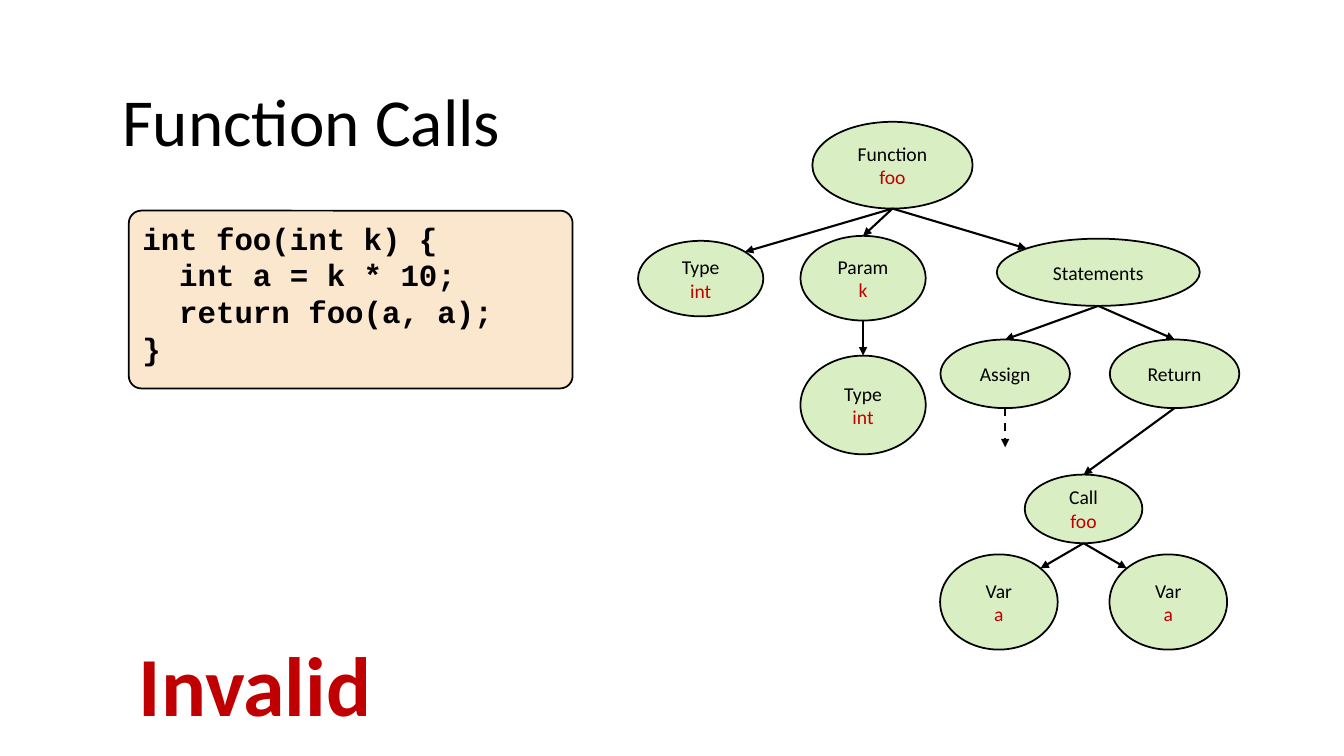
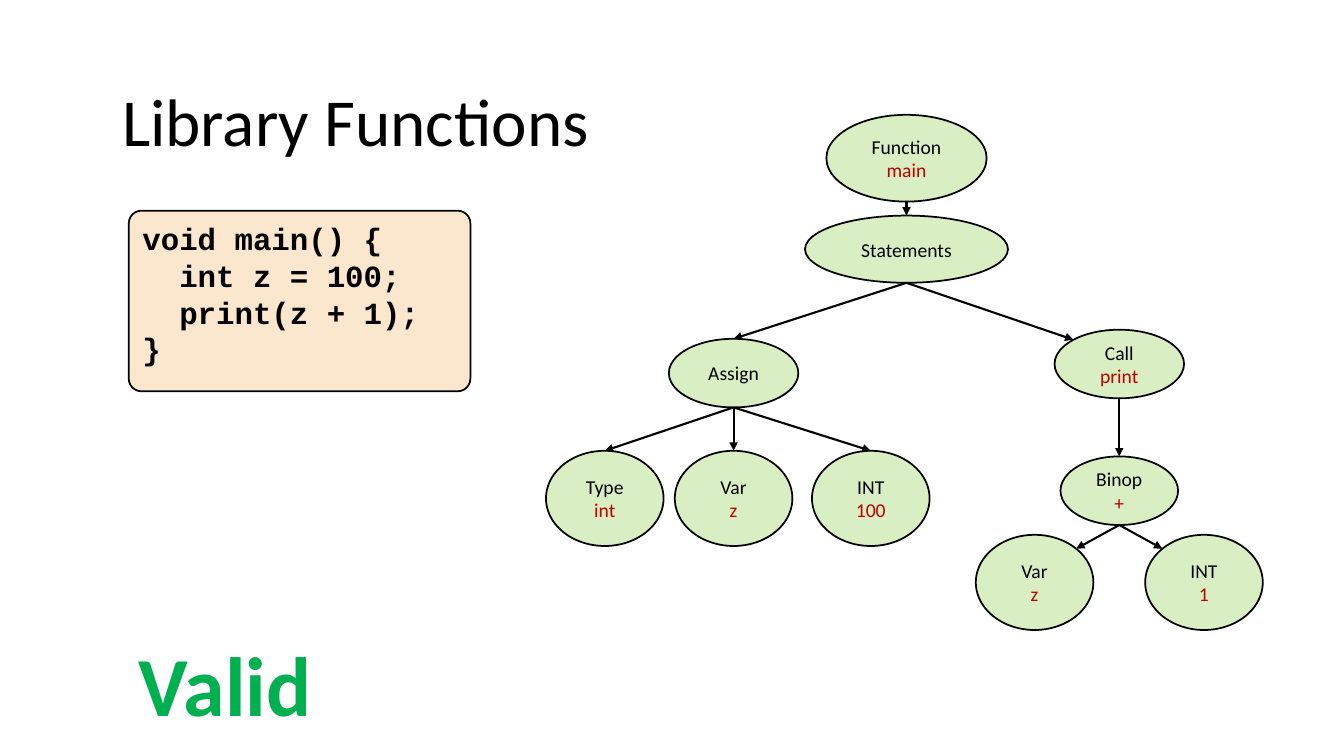
"""Build two slides that pair a short program with its syntax tree."""
from pptx import Presentation
from pptx.dml.color import RGBColor
from pptx.enum import dml, shapes, text
from pptx.oxml import xmlchemy as xml
from pptx.util import Pt

BLACK = RGBColor(0x00, 0x00, 0x00)
RED = RGBColor(0xC0, 0x00, 0x00)
GREEN = RGBColor(0x00, 0xB0, 0x50)
LEAF = RGBColor(0x92, 0xD0, 0x50)
CREAM = RGBColor(0xFB, 0xE6, 0xCE)

ROOT, LIST = (114.5, 62), (145, 48)
STEP, CALL, VAR = (92.5, 49), (84, 49), (84, 68)
TYPE, PARAM, INNER = (89.5, 54), (89.5, 60.5), (89.5, 70.5)
SIDES = {"left": 0.146, "top": 0.5, "right": 0.854}

# Node: key, label, value, size, centre x, top y, parent, side where the arrow lands
SLIDES = [
    {
        "title": "Function Calls",
        "code": ["int foo(int k) {", "  int a = k * 10;",
                 "  return foo(a, a);", "}"],
        "box": (317, 127),
        "mark": ("Invalid", RED),
        "stub": "assign",
        "nodes": [
            ("func", "Function", "foo", ROOT, 637.5, 87, None, None),
            ("type", "Type", "int", TYPE, 500.5, 172, "func", "right"),
            ("param", "Param", "k", PARAM, 616.5, 168.5, "func", "top"),
            ("list", "Statements", "", LIST, 784.5, 170.5, "func", "left"),
            ("inner", "Type", "int", INNER, 616.5, 254, "param", "top"),
            ("assign", "Assign", "", STEP, 718, 242.5, "list", "top"),
            ("return", "Return", "", STEP, 839, 242.5, "list", "top"),
            ("call", "Call", "foo", CALL, 774, 339, "return", "top"),
            ("first", "Var", "a", VAR, 713.5, 396, "call", "right"),
            ("second", "Var", "a", VAR, 834.5, 396, "call", "left"),
        ],
    },
    {
        "title": "Library Functions",
        "code": ["void main() {", "  int z = 100;", "  print(z + 1);", "}"],
        "box": (244, 129),
        "mark": ("Valid", GREEN),
        "stub": None,
        "nodes": [
            ("func", "Function", "main", ROOT, 647.5, 82, None, None),
            ("list", "Statements", "", LIST, 647.5, 154, "func", "top"),
            ("assign", "Assign", "", STEP, 524, 242, "list", "top"),
            ("call", "Call", "print", STEP, 799.5, 235.5, "list", "left"),
            ("type", "Type", "int", VAR, 432, 322, "assign", "top"),
            ("var", "Var", "z", VAR, 524, 322, "assign", "top"),
            ("int", "INT", "100", VAR, 622, 322, "assign", "top"),
            ("binop", "Binop", "+", CALL, 799.5, 326, "call", "top"),
            ("first", "Var", "z", VAR, 739, 382, "binop", "right"),
            ("second", "INT", "1", VAR, 860, 382, "binop", "left"),
        ],
    },
]


def write(shape, lines, size, hues=(BLACK,), font="Calibri", bold=False,
          align=text.PP_ALIGN.LEFT, anchor=text.MSO_ANCHOR.TOP, wrap=True):
    frame = shape.text_frame
    frame.word_wrap = wrap
    frame.vertical_anchor = anchor
    for num, line in enumerate(lines):
        para = frame.add_paragraph() if num else frame.paragraphs[0]
        para.alignment = align
        run = para.add_run()
        run.text = line
        run.font.name, run.font.size, run.font.bold = font, Pt(size), bold
        run.font.color.rgb = hues[min(num, len(hues) - 1)]


def link(slide, start, end, dash=False):
    line = slide.shapes.add_connector(
        shapes.MSO_CONNECTOR.STRAIGHT, *(Pt(n) for n in start + end))
    line.line.color.rgb = BLACK
    line.line.width = Pt(1.5)
    if dash:
        line.line.dash_style = dml.MSO_LINE.DASH
    tail = xml.OxmlElement("a:tailEnd")
    tail.set("type", "triangle")
    line.line._get_or_add_ln().append(tail)
    line._element.spPr.append(xml.OxmlElement("a:effectLst"))


deck = Presentation()
deck.slide_width, deck.slide_height = Pt(960), Pt(540)

for data in SLIDES:
    slide = deck.slides.add_slide(deck.slide_layouts[5])
    title = slide.shapes.title
    title.left, title.top, title.width, title.height = Pt(80), Pt(52.5), Pt(798.5), Pt(65.5)
    write(title, [data["title"]], 48, anchor=text.MSO_ANCHOR.MIDDLE)

    spots = {}
    for key, label, value, (wide, high), mid, top, base, side in data["nodes"]:
        node = slide.shapes.add_shape(
            shapes.MSO_SHAPE.OVAL, Pt(mid - wide / 2), Pt(top), Pt(wide), Pt(high))
        node.shadow.inherit = False
        node.fill.solid()
        node.fill.fore_color.rgb = LEAF
        alpha = xml.OxmlElement("a:alpha")
        alpha.set("val", "34000")
        node._element.spPr.xpath("a:solidFill/a:srgbClr")[0].append(alpha)
        node.line.color.rgb = BLACK
        node.line.width = Pt(1.25)
        write(node, [part for part in (label, value) if part], 14, (BLACK, RED),
              align=text.PP_ALIGN.CENTER, anchor=text.MSO_ANCHOR.MIDDLE, wrap=False)
        spots[key] = (mid, top + high)
        if base:
            drop = 0 if side == "top" else SIDES["left"] * high
            link(slide, spots[base], (mid + (SIDES[side] - 0.5) * wide, top + drop))

    if data["stub"]:
        mid, low = spots[data["stub"]]
        link(slide, (mid, low), (mid, low + 28), dash=True)

    wide, high = data["box"]
    code = slide.shapes.add_shape(
        shapes.MSO_SHAPE.ROUNDED_RECTANGLE, Pt(92), Pt(150.5), Pt(wide), Pt(high))
    code.adjustments[0] = 0.07
    code.shadow.inherit = False
    code.fill.solid()
    code.fill.fore_color.rgb = CREAM
    code.line.color.rgb = BLACK
    code.line.width = Pt(1.25)
    write(code, data["code"], 22, font="Courier New", bold=True)

    word, hue = data["mark"]
    mark = slide.shapes.add_textbox(Pt(92), Pt(448.5), Pt(220), Pt(80))
    write(mark, [word], 60, (hue,), bold=True)

deck.save("out.pptx")
